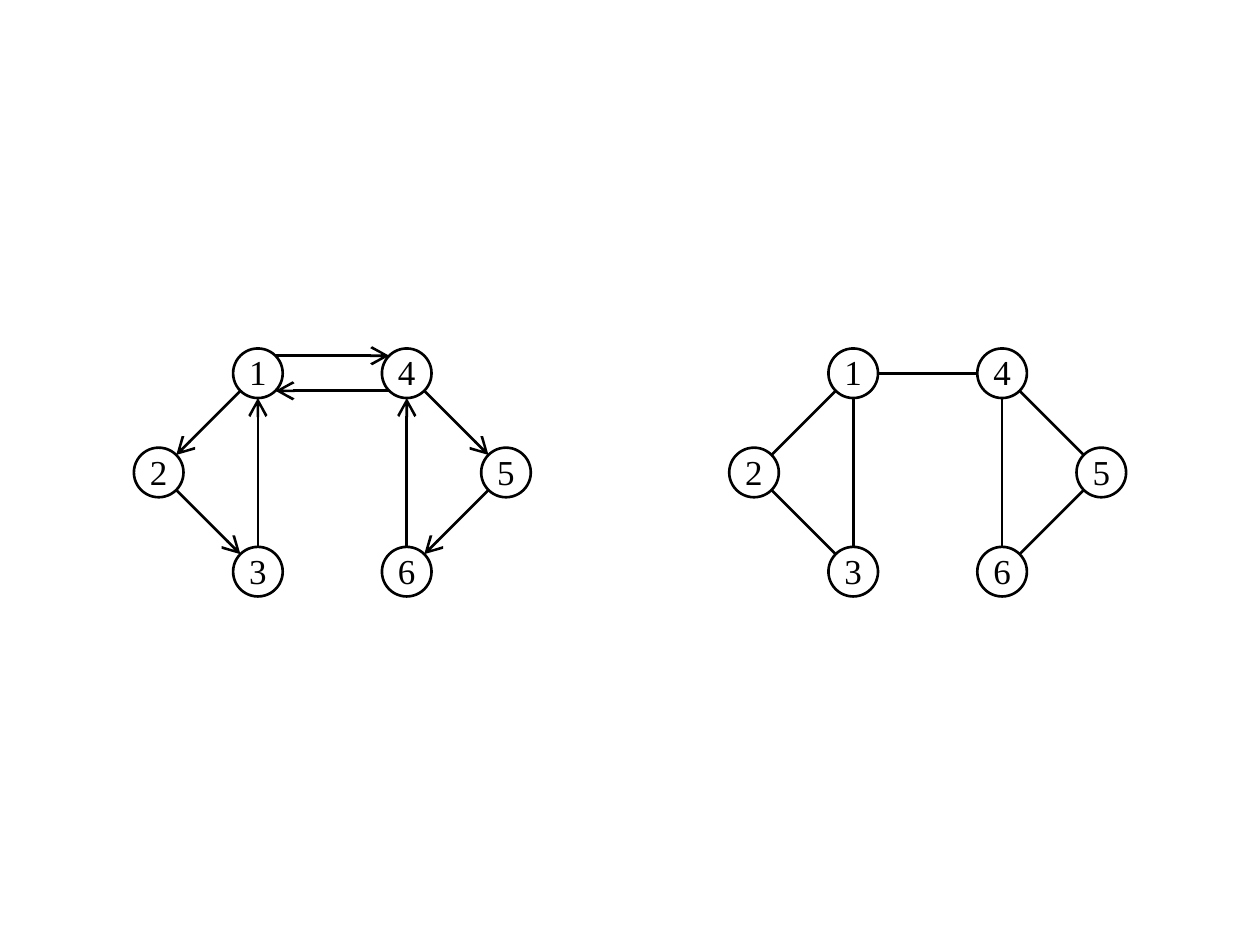
import math
import pptx
import pptx.util
import pptx.dml.color
import pptx.enum.shapes
import pptx.enum.text
import pptx.oxml

Pt = pptx.util.Pt

# Node label: (column, row), in units of one circle's width
NODES = {"1": (2, -2), "2": (0, 0), "3": (2, 2),
         "4": (5, -2), "5": (7, 0), "6": (5, 2)}

SIDES = [("1", "2"), ("2", "3"), ("3", "1"),
         ("4", "5"), ("5", "6"), ("6", "4")]

# Centre of node 2, edges by turn in degrees as (start, end), arrow or not
GRAPHS = [
    {"left": 90.7, "arrow": True, "turns": {0: SIDES, -45: [("1", "4"), ("4", "1")]}},
    {"left": 430.9, "arrow": False, "turns": {0: SIDES + [("1", "4")]}},
]
MID = 270
SIZE = 28.35
INK, PAPER = "000000", "FFFFFF"
SPACE = 'xmlns:a="http://schemas.openxmlformats.org/drawingml/2006/main"'
FONT = {"name": "Times New Roman", "size": Pt(20)}
FRAME = {"word_wrap": False, "margin_left": Pt(7.2), "margin_right": Pt(7.2),
         "margin_top": Pt(2.8), "margin_bottom": Pt(4.4),
         "vertical_anchor": pptx.enum.text.MSO_ANCHOR.MIDDLE}


def paint(color, value):
    color.rgb = pptx.dml.color.RGBColor.from_string(value)


def apply(item, values):
    for name, value in values.items():
        setattr(item, name, value)


def stroke(line):
    line.width = Pt(1.5)
    line.fill.solid()
    paint(line.color, INK)


def center(graph, label):
    col, row = NODES[label]
    return graph["left"] + col * SIZE, MID + row * SIZE


def rim(point, angle):
    """Return the spot on a node's circle at the given angle."""
    x, y = point
    return (Pt(round(x + SIZE / 2 * math.cos(angle), 2)),
            Pt(round(y + SIZE / 2 * math.sin(angle), 2)))


def add_node(slide, graph, label):
    x, y = center(graph, label)
    node = slide.shapes.add_shape(
        pptx.enum.shapes.MSO_SHAPE.OVAL,
        Pt(x - SIZE / 2), Pt(y - SIZE / 2), Pt(SIZE), Pt(SIZE))
    node.shadow.inherit = False
    node.fill.solid()
    paint(node.fill.fore_color, PAPER)
    stroke(node.line)
    apply(node.text_frame, FRAME)
    para = node.text_frame.paragraphs[0]
    para.alignment = pptx.enum.text.PP_ALIGN.CENTER
    run = para.add_run()
    run.text = label
    apply(run.font, FONT)
    paint(run.font.color, INK)


def add_edge(slide, graph, start, end, turn):
    """Join two circles; turn shifts both ends to one side of the axis."""
    a, b = center(graph, start), center(graph, end)
    angle = math.atan2(b[1] - a[1], b[0] - a[0])
    shift = math.radians(turn)
    edge = slide.shapes.add_connector(
        pptx.enum.shapes.MSO_CONNECTOR.STRAIGHT,
        *rim(a, angle + shift), *rim(b, angle + math.pi - shift))
    stroke(edge.line)
    props = edge.element.spPr
    if graph["arrow"]:
        props.ln.append(pptx.oxml.parse_xml(
            f'<a:tailEnd {SPACE} type="arrow" w="lg" len="lg"/>'))
    props.append(pptx.oxml.parse_xml(f'<a:effectLst {SPACE}/>'))


def main():
    deck = pptx.Presentation()
    deck.slide_width, deck.slide_height = Pt(720), Pt(540)
    slide = deck.slides.add_slide(deck.slide_layouts[6])
    for graph in GRAPHS:
        for label in NODES:
            add_node(slide, graph, label)
        for turn, pairs in graph["turns"].items():
            for start, end in pairs:
                add_edge(slide, graph, start, end, turn)
    deck.save("out.pptx")


if __name__ == "__main__":
    main()
